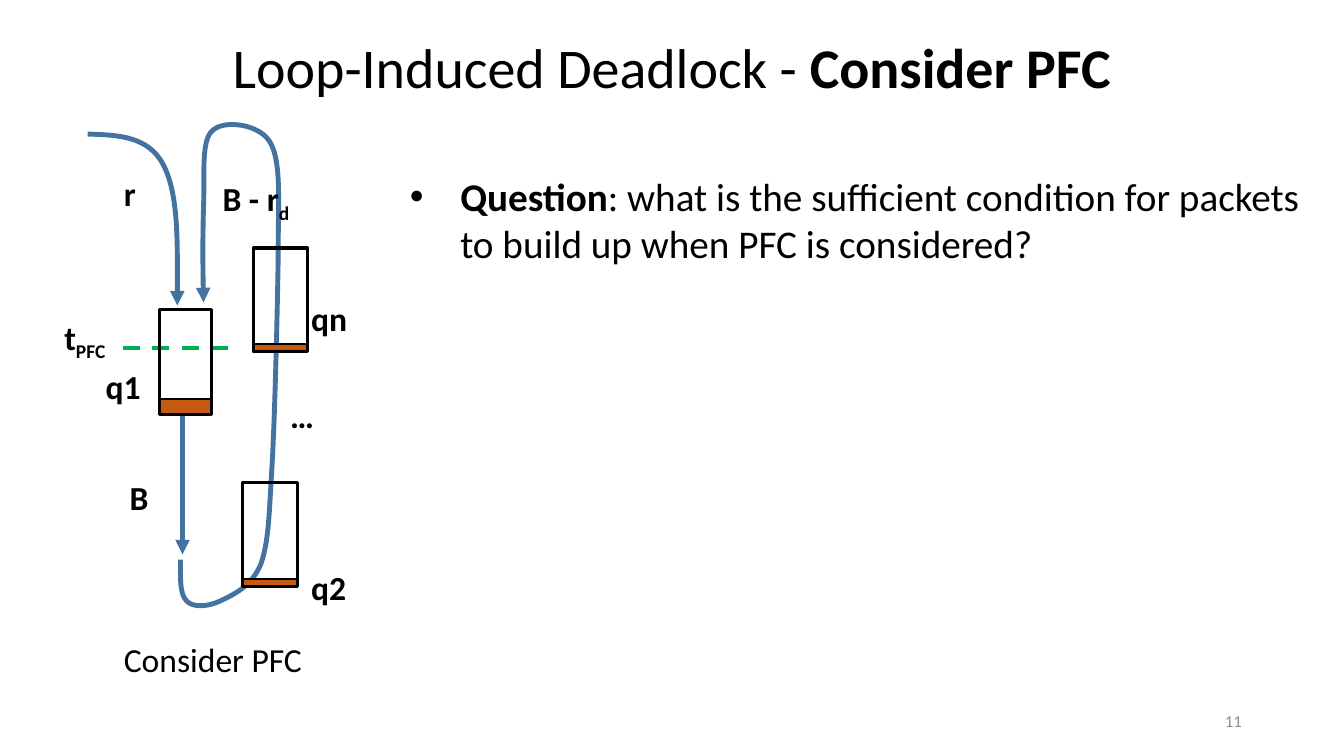
from dataclasses import dataclass

from lxml import etree
from pptx import Presentation
from pptx.dml.color import RGBColor
from pptx.enum import dml, shapes, text
from pptx.oxml import ns
from pptx.util import Cm, Pt

FONT = "Calibri"
BLACK, GRAY, BLUE, GREEN, ORANGE = "000000", "8C8C8C", "43739E", "00B050", "C55A11"
LEFT, CENTER, RIGHT = text.PP_ALIGN.LEFT, text.PP_ALIGN.CENTER, text.PP_ALIGN.RIGHT
TOP, MIDDLE = text.MSO_ANCHOR.TOP, text.MSO_ANCHOR.MIDDLE
LABEL_HEIGHT = 1.27


@dataclass
class Phrase:
    """A stretch of text with its own weight or baseline."""
    words: str
    bold: bool = False
    subscript: bool = False


@dataclass
class Label:
    phrases: list[Phrase]
    left: float
    top: float
    width: float
    wrap: bool = True
    align: text.PP_ALIGN = LEFT


@dataclass
class Queue:
    left: float
    top: float
    width: float
    height: float
    level: float


LABELS = [
    Label([Phrase("Consider PFC")], 2.87, 15.98, 5.23),
    Label([Phrase("t", True), Phrase("PFC", True, True)], 1.3, 7.85, 1.68, False, CENTER),
    Label([Phrase("r", True)], 2.87, 4.24, 0.91),
    Label([Phrase("B - r", True), Phrase("d", True, True)], 5.36, 4.37, 2.64),
    Label([Phrase("B", True)], 3.02, 11.89, 0.84),
    Label([Phrase("…", True)], 7.06, 9.83, 1.12, False),
    Label([Phrase("q1", True)], 2.41, 9.09, 1.4, False),
    Label([Phrase("q2", True)], 7.59, 14.17, 1.4, False),
    Label([Phrase("qn", True)], 7.59, 7.37, 1.42, False),
]

QUEUES = [
    Queue(4.01, 7.8, 1.33, 2.64, 0.38),
    Queue(6.12, 12.17, 1.37, 2.62, 0.2),
    Queue(6.38, 6.25, 1.37, 2.62, 0.2),
]

# Each flow is a start point followed by three Bézier points per curve.
INCOMING_FLOW = [
    (2.21, 3.38),
    (2.97, 3.4), (3.73, 3.43), (4.11, 4.14),
    (4.5, 4.88), (4.47, 6.27), (4.47, 7.7),
]
LOOP_FLOW = [
    (4.55, 14.1),
    (4.55, 14.53), (4.52, 14.96), (4.7, 15.14),
    (4.85, 15.32), (5.26, 15.29), (5.56, 15.14),
    (5.87, 14.99), (6.35, 14.78), (6.58, 14.2),
    (6.78, 13.61), (6.78, 12.95), (6.86, 11.68),
    (6.93, 10.41), (6.99, 7.85), (7.01, 6.58),
    (7.01, 5.31), (7.06, 4.6), (6.96, 4.04),
    (6.86, 3.48), (6.63, 3.35), (6.35, 3.23),
    (6.07, 3.12), (5.49, 3.05), (5.28, 3.38),
    (5.08, 3.71), (5.16, 4.5), (5.13, 5.21),
    (5.11, 5.92), (5.11, 6.76), (5.13, 7.62),
]


def color(value: str) -> RGBColor:
    return RGBColor.from_string(value)


def set_line(shape, value: str, width: float) -> None:
    shape.line.color.rgb = color(value)
    shape.line.width = Pt(width)


def add_arrowhead(shape) -> None:
    etree.SubElement(shape.line._get_or_add_ln(), ns.qn("a:tailEnd"), type="triangle")


def write(shape, phrases: list[Phrase], *, size: float, fill: str = BLACK,
          align: text.PP_ALIGN = LEFT, anchor: text.MSO_ANCHOR = TOP,
          wrap: bool = True, bullet: bool = False) -> None:
    frame = shape.text_frame
    frame.word_wrap = wrap
    frame.auto_size = text.MSO_AUTO_SIZE.NONE
    frame.vertical_anchor = anchor
    paragraph = frame.paragraphs[0]
    paragraph.alignment = align
    if bullet:
        properties = paragraph._p.get_or_add_pPr()
        properties.set("marL", str(Cm(1.27)))
        properties.set("indent", str(-Cm(1.27)))
        etree.SubElement(properties, ns.qn("a:buFont"), typeface="Arial")
        etree.SubElement(properties, ns.qn("a:buChar"), char="•")
    for phrase in phrases:
        run = paragraph.add_run()
        run.text = phrase.words
        run.font.name = FONT
        run.font.size = Pt(size)
        run.font.bold = phrase.bold
        run.font.color.rgb = color(fill)
        if phrase.subscript:
            run._r.get_or_add_rPr().set("baseline", "-25000")


def add_text(slide, left: float, top: float, width: float, height: float,
             phrases: list[Phrase], **style) -> None:
    box = slide.shapes.add_textbox(Cm(left), Cm(top), Cm(width), Cm(height))
    write(box, phrases, **style)


def add_straight(slide, start: tuple[float, float], end: tuple[float, float],
                 value: str, width: float):
    line = slide.shapes.add_connector(
        shapes.MSO_CONNECTOR.STRAIGHT, *map(Cm, start), *map(Cm, end))
    set_line(line, value, width)
    etree.SubElement(line._element.spPr, ns.qn("a:effectLst"))
    return line


def add_flow(slide, points: list[tuple[float, float]]) -> None:
    """Draw a curved arrow, joining every three segments into one Bézier curve."""
    start, *controls = [(Cm(x), Cm(y)) for x, y in points]
    builder = slide.shapes.build_freeform(*start)
    builder.add_line_segments(controls, close=False)
    flow = builder.convert_to_shape()
    segments = list(flow._element.iter(ns.qn("a:lnTo")))
    for first in range(0, len(segments), 3):
        curve = etree.SubElement(segments[first].getparent(), ns.qn("a:cubicBezTo"))
        for segment in segments[first:first + 3]:
            curve.append(segment[0])
            segment.getparent().remove(segment)
    flow.shadow.inherit = False
    flow.fill.background()
    set_line(flow, BLUE, 3.5)
    add_arrowhead(flow)


def add_box(slide, left: float, top: float, width: float, height: float,
            line_width: float, fill: str | None = None) -> None:
    box = slide.shapes.add_shape(
        shapes.MSO_SHAPE.RECTANGLE, Cm(left), Cm(top), Cm(width), Cm(height))
    box.shadow.inherit = False
    if fill:
        box.fill.solid()
        box.fill.fore_color.rgb = color(fill)
    else:
        box.fill.background()
    set_line(box, BLACK, line_width)


def add_queue(slide, queue: Queue) -> None:
    surface = queue.top + queue.height - queue.level
    add_box(slide, queue.left, surface, queue.width, queue.level, 1, ORANGE)
    add_box(slide, queue.left, queue.top, queue.width, queue.height, 2.25)


def main() -> None:
    deck = Presentation()
    deck.slide_width, deck.slide_height = Cm(33.87), Cm(19.05)
    slide = deck.slides.add_slide(deck.slide_layouts.get_by_name("Title Only"))

    title = slide.shapes.title
    title.left, title.top, title.width, title.height = map(Cm, (2.59, 0.69, 28.68, 1.96))
    write(title, [Phrase("Loop-Induced Deadlock - "), Phrase("Consider PFC", True)],
          size=40, align=CENTER)

    threshold = add_straight(slide, (3.1, 8.76), (6.02, 8.76), GREEN, 3)
    threshold.line.dash_style = dml.MSO_LINE.DASH
    add_flow(slide, INCOMING_FLOW)
    add_flow(slide, LOOP_FLOW)
    add_arrowhead(add_straight(slide, (4.6, 10.29), (4.6, 13.97), BLUE, 3.5))
    for queue in QUEUES:
        add_queue(slide, queue)
    for label in LABELS:
        add_text(slide, label.left, label.top, label.width, LABEL_HEIGHT, label.phrases,
                 size=24, align=label.align, wrap=label.wrap)

    question = [Phrase("Question", True),
                Phrase(": what is the sufficient condition for packets to build up "
                       "when PFC is considered?")]
    add_text(slide, 10.08, 4.22, 22.99, 2.64, question, size=28, bullet=True)
    add_text(slide, 23.93, 17.65, 7.62, 1.02, [Phrase("11")],
             size=12, fill=GRAY, align=RIGHT, anchor=MIDDLE)
    deck.save("out.pptx")


if __name__ == "__main__":
    main()
